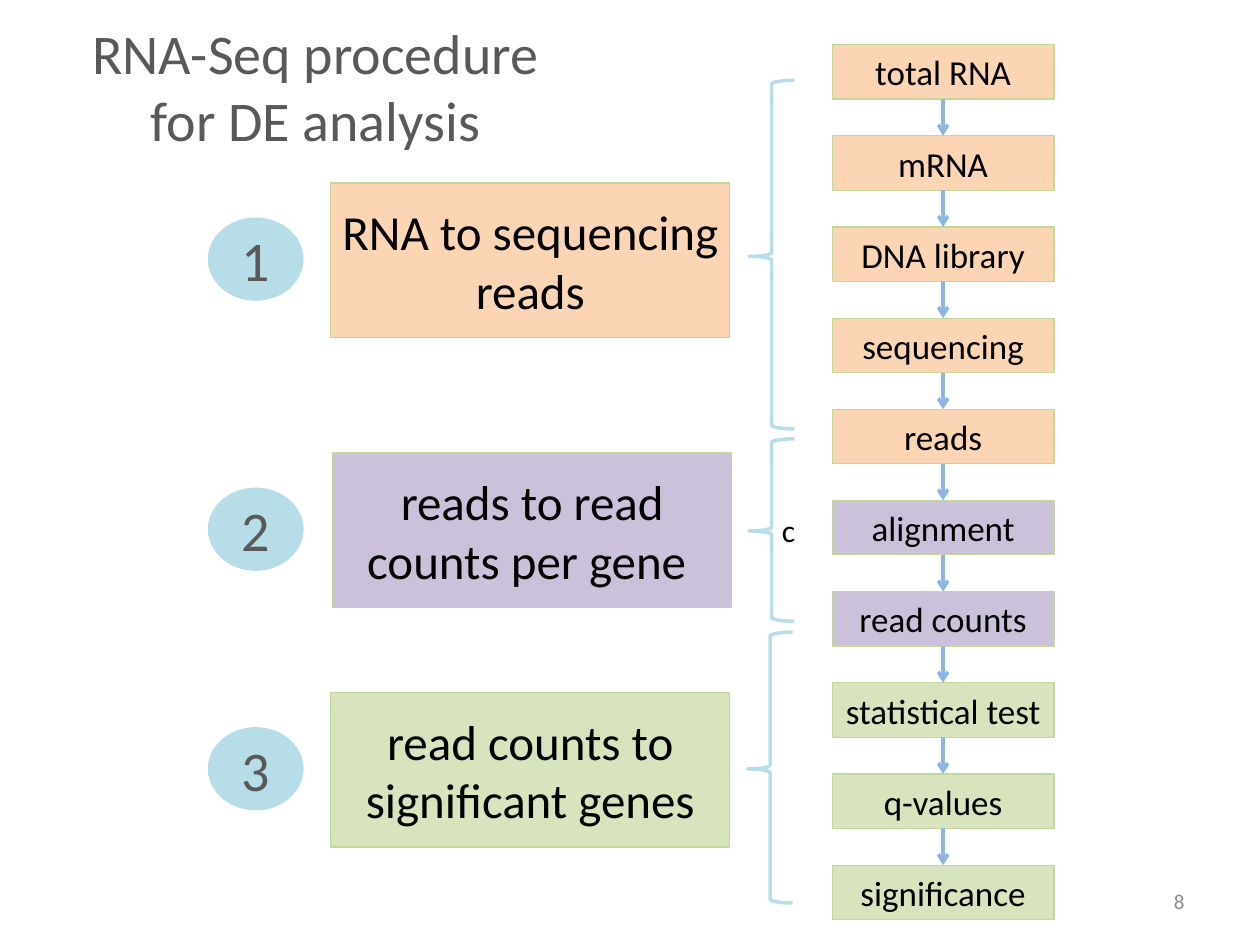
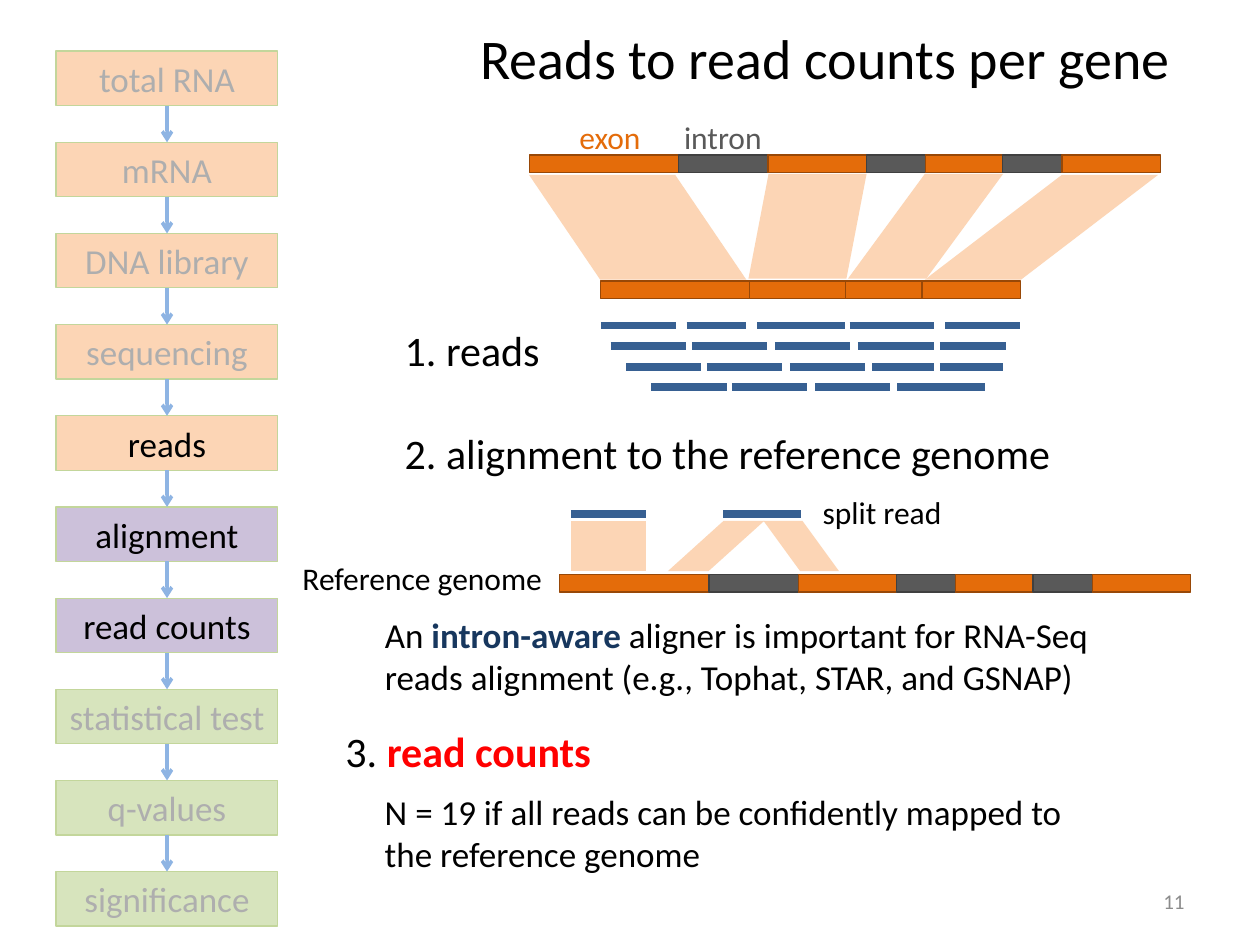
from lxml import etree
from pptx import Presentation
from pptx.dml.color import RGBColor
from pptx.enum.shapes import MSO_CONNECTOR, MSO_SHAPE as SHAPE
from pptx.enum.text import MSO_ANCHOR as ANCHOR, MSO_AUTO_SIZE as AUTO_SIZE, PP_ALIGN as ALIGN
from pptx.oxml.ns import qn
from pptx.util import Pt

FONT = "Calibri"
BLACK, GRAY, FADED, NUMBER_GRAY = "000000", "595959", "AEAEAE", "8C8C8C"
PEACH, LILAC, GREEN = "FCD5B5", "CCC1DA", "D7E4BD"
BOX_LINE, ARROW, SKY = "C3D69B", "8EB4E3", "B7DEE8"
EXON, INTRON, READ = "E46C0A", "595959", "376092"
EDGE = {EXON: "984807", INTRON: "404040"}

STEPS = [
    ("total RNA", PEACH), ("mRNA", PEACH), ("DNA library", PEACH),
    ("sequencing", PEACH), ("reads", PEACH),
    ("alignment", LILAC), ("read counts", LILAC),
    ("statistical test", GREEN), ("q-values", GREEN), ("significance", GREEN),
]
STEP_WIDTH, STEP_HEIGHT, STEP_PITCH = 126.7, 31.1, 52.1

# Gene segments from left to right: width and kind
GENE = [(85.4, EXON), (51.1, INTRON), (56.2, EXON), (33.8, INTRON),
        (44.1, EXON), (33.9, INTRON), (56.2, EXON)]

# Each row of short reads: start and end of every read
READ_ROWS = [
    [(343.4, 386.4), (392.4, 426.2), (432.7, 483.1), (485.5, 533.5), (540, 583)],
    [(349, 391.9), (395.3, 438.5), (442.8, 485.5), (490.3, 533.5), (537.1, 574.6)],
    [(357.8, 400.8), (403.9, 447.1), (451.4, 494.3), (498.4, 533.5), (537.1, 573.1)],
    [(372.2, 415.2), (418.3, 461.3), (465.8, 508.8), (512.6, 563)],
]


def color(value):
    return RGBColor.from_string(value)


def points(*lengths):
    return [Pt(length) for length in lengths]


def add_run(paragraph, text, size, text_color=BLACK, bold=False):
    run = paragraph.add_run()
    run.text = text
    run.font.name = FONT
    run.font.size = Pt(size)
    run.font.bold = bold
    run.font.color.rgb = color(text_color)


def add_shape(slide, kind, box, fill=None, line=None, line_width=0.75):
    shape = slide.shapes.add_shape(kind, *points(*box))
    shape.shadow.inherit = False
    if fill:
        shape.fill.solid()
        shape.fill.fore_color.rgb = color(fill)
    else:
        shape.fill.background()
    if line:
        shape.line.color.rgb = color(line)
        shape.line.width = Pt(line_width)
    else:
        shape.line.fill.background()
    return shape


def label_shape(shape, text, size, text_color=BLACK, inset=0):
    frame = shape.text_frame
    frame.word_wrap = True
    frame.vertical_anchor = ANCHOR.MIDDLE
    frame.margin_left = frame.margin_right = Pt(inset)
    frame.margin_top = frame.margin_bottom = Pt(inset / 2)
    paragraph = frame.paragraphs[0]
    paragraph.alignment = ALIGN.CENTER
    add_run(paragraph, text, size, text_color)


def add_line(slide, start, end, line_color, width, arrow=False):
    connector = slide.shapes.add_connector(
        MSO_CONNECTOR.STRAIGHT, *points(*start, *end))
    connector.line.color.rgb = color(line_color)
    connector.line.width = Pt(width)
    if arrow:
        outline = connector.line._get_or_add_ln()
        etree.SubElement(outline, qn("a:tailEnd"), type="arrow")
    etree.SubElement(connector._element.spPr, qn("a:effectLst"))


def add_text(slide, box, runs, size, wrap=False):
    """Add a text box; each run is (text, colour) or (text, colour, bold)."""
    frame = slide.shapes.add_textbox(*points(*box)).text_frame
    frame.word_wrap = wrap
    frame.auto_size = AUTO_SIZE.SHAPE_TO_FIT_TEXT
    for text, *style in runs:
        add_run(frame.paragraphs[0], text, size, *style)


def add_page(presentation, title, title_box, title_color, number):
    slide = presentation.slides.add_slide(presentation.slide_layouts[5])
    heading = slide.shapes.title
    heading.left, heading.top, heading.width, heading.height = points(*title_box)
    frame = heading.text_frame
    frame.auto_size = AUTO_SIZE.NONE
    frame.vertical_anchor = ANCHOR.MIDDLE
    frame.paragraphs[0].alignment = ALIGN.CENTER
    add_run(frame.paragraphs[0], title, 32, title_color)

    # Slide number
    footer = slide.shapes.add_textbox(*points(516, 500.5, 168, 28.75)).text_frame
    footer.word_wrap = True
    footer.vertical_anchor = ANCHOR.MIDDLE
    footer.paragraphs[0].alignment = ALIGN.RIGHT
    add_run(footer.paragraphs[0], number, 12, NUMBER_GRAY)
    return slide


def add_workflow(slide, left, top, active=None):
    """Add the column of steps; steps outside the active ones are faded."""
    center = left + STEP_WIDTH / 2
    for index, (name, fill) in enumerate(STEPS):
        y = top + index * STEP_PITCH
        box = add_shape(slide, SHAPE.RECTANGLE,
                        (left, y, STEP_WIDTH, STEP_HEIGHT), fill, BOX_LINE)
        label_shape(box, name, 20,
                    BLACK if active is None or name in active else FADED)
        if index:
            add_line(slide, (center, y - STEP_PITCH + STEP_HEIGHT), (center, y),
                     ARROW, 2, arrow=True)


def add_stage(slide, number, text, fill, left, top, brace_box):
    panel = add_shape(slide, SHAPE.RECTANGLE, (left, top, 228, 88.4), fill, BOX_LINE)
    label_shape(panel, text, 28)
    badge = add_shape(slide, SHAPE.OVAL, (119.1, top + 20.2, 54, 46.8), SKY, SKY)
    label_shape(badge, number, 32, GRAY)
    brace = add_shape(slide, SHAPE.LEFT_BRACE, brace_box, line=SKY, line_width=2)
    brace.adjustments[0], brace.adjustments[1] = 0.083, 0.505
    return brace


def add_segment(slide, left, top, width, kind):
    add_shape(slide, SHAPE.RECTANGLE, (left, top, width, 10.1), kind, EDGE[kind])


def add_gene(slide, left, top):
    for width, kind in GENE:
        add_segment(slide, left, top, width, kind)
        left += width


def add_projection(slide, box, slant, flip=False):
    shape = add_shape(slide, SHAPE.PARALLELOGRAM, box, PEACH)
    shape.adjustments[0] = slant
    if flip:
        shape._element.spPr.find(qn("a:xfrm")).set("flipH", "1")


def add_read(slide, start, end, y):
    add_line(slide, (start, y), (end, y), READ, 4.5)


def build_procedure(presentation):
    slide = add_page(presentation, "RNA-Seq procedure for DE analysis",
                     (36, 10.8, 288.7, 76.3), GRAY, "8")
    add_workflow(slide, 475.6, 25.5)
    add_stage(slide, "1", "RNA to sequencing reads", PEACH, 189, 104.5,
              (428, 45.9, 25.9, 199.2))
    brace = add_stage(slide, "2", "reads to read counts per gene ", LILAC, 190.1, 258.8,
                      (428, 250.8, 25.9, 104.2))
    label_shape(brace, "c", 18, inset=7.2)
    add_stage(slide, "3", "read counts to significant genes", GREEN, 189, 395.7,
              (427.1, 361.3, 25.9, 154.7))


def build_read_counts(presentation):
    slide = add_page(presentation, "Reads to read counts per gene ",
                     (258.2, 6.2, 434.2, 53.3), BLACK, "11")
    add_workflow(slide, 32.1, 29.2, active=("reads", "alignment", "read counts"))

    # Gene with introns and the spliced transcript below it
    add_gene(slide, 302.4, 88.6)
    exon_widths = [width for width, kind in GENE if kind == EXON]
    for left, width in zip((343.2, 428.4, 483.1, 526.9), exon_widths):
        add_segment(slide, left, 160.6, width, EXON)
    add_projection(slide, (302.4, 100, 124.1, 59.8), 0.679, flip=True)
    add_projection(slide, (427.7, 99.4, 67.5, 59.8), 0.192)
    add_projection(slide, (484.6, 99.4, 88.6, 59.8), 0.734)
    add_projection(slide, (528.5, 100, 133.2, 59.8), 1.308)
    add_text(slide, (324, 63.7, 50.4, 28.8), [("exon", EXON)], 18)
    add_text(slide, (383.8, 63.7, 59.8, 28.8), [("intron", INTRON)], 18)

    # Short reads
    add_text(slide, (224.2, 181.7, 92.9, 36), [("1. reads", BLACK)], 24)
    for index, row in enumerate(READ_ROWS):
        for start, end in row:
            add_read(slide, start, end, 186 + 11.75 * index)

    # Alignment to the reference
    add_text(slide, (224.2, 240.9, 401.8, 36),
             [("2. alignment to the reference genome", BLACK)], 24)
    add_gene(slide, 319.7, 328.3)
    add_read(slide, 326.2, 369.4, 293.8)
    add_read(slide, 413.3, 457.9, 293.8)
    add_projection(slide, (326.2, 297.6, 43.2, 28.8), 0)
    add_projection(slide, (381.6, 297.6, 55.2, 28.8), 1.109)
    add_projection(slide, (436.3, 297.6, 43.2, 28.8), 0.728, flip=True)
    add_text(slide, (463, 278.2, 83.5, 28.8), [("split read", BLACK)], 18)
    add_text(slide, (165.8, 316.1, 154.1, 28.8), [("Reference genome", BLACK)], 18)
    add_text(slide, (212.8, 347, 450, 55.4),
             [("An ", BLACK), ("intron-aware ", "17375E", True),
              ("aligner is important for RNA-Seq reads alignment "
               "(e.g., Tophat, STAR, and GSNAP)", BLACK)], 20, wrap=True)

    # Counting
    add_text(slide, (190.3, 411.1, 157, 36),
             [("3. ", BLACK), ("read counts", "FF0000", True)], 24)
    add_text(slide, (212.8, 448.1, 412.6, 55.4),
             [("N = 19 if all reads can be confidently mapped to the reference genome",
               BLACK)], 20, wrap=True)


def main():
    presentation = Presentation()
    presentation.slide_width, presentation.slide_height = points(720, 540)
    build_procedure(presentation)
    build_read_counts(presentation)
    presentation.save("out.pptx")


if __name__ == "__main__":
    main()
